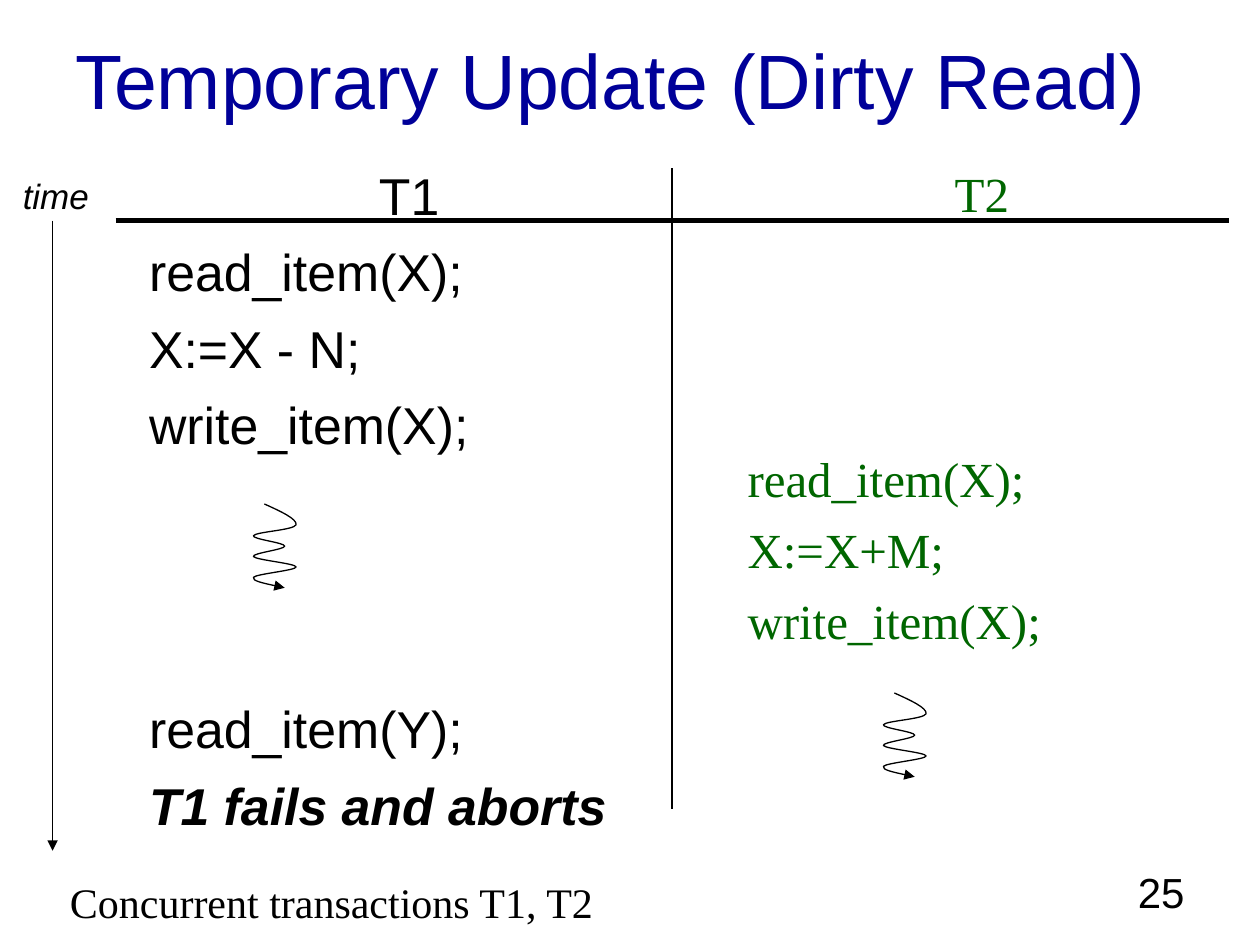
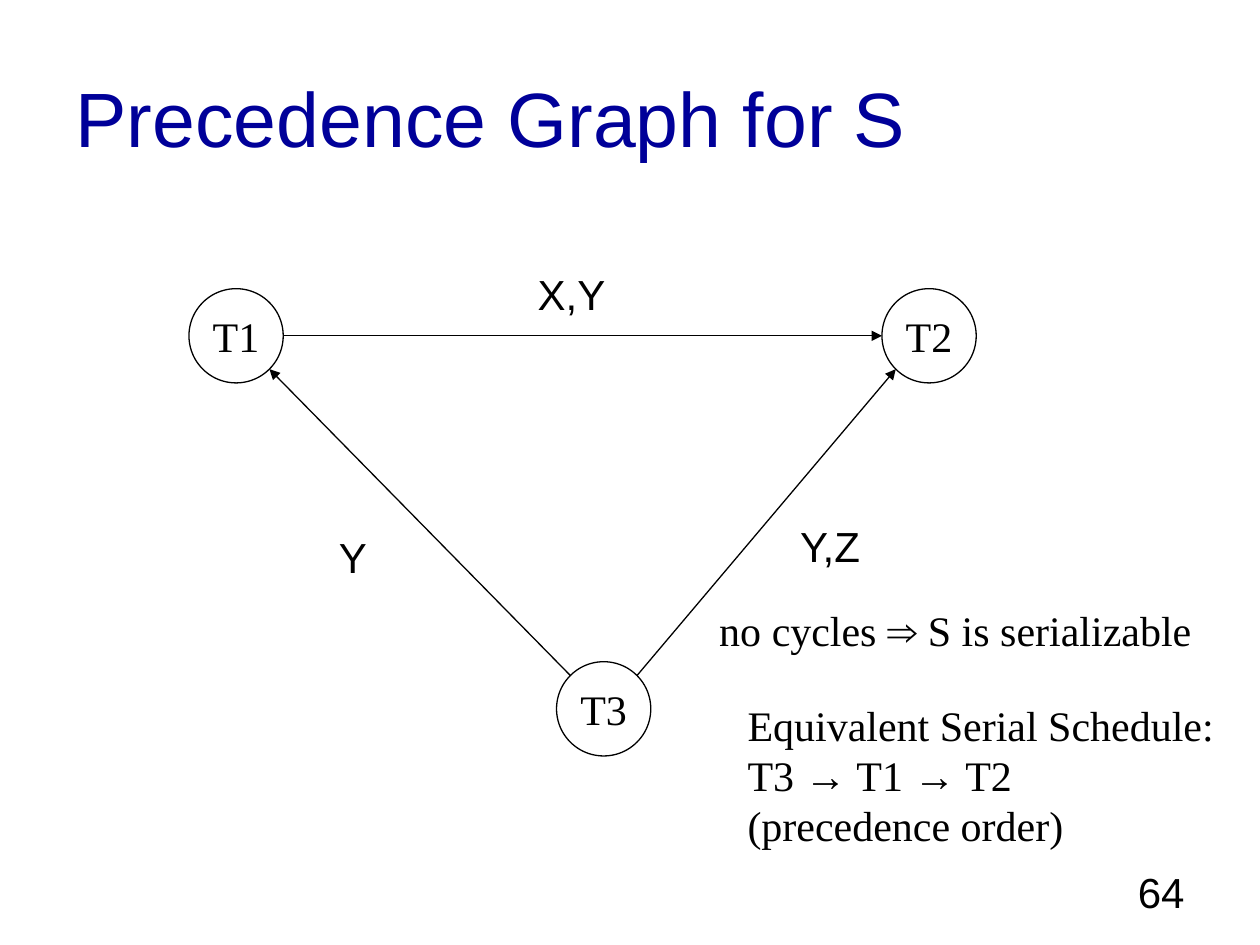
from itertools import groupby, pairwise
from math import sqrt

from lxml.etree import SubElement
from pptx import Presentation
from pptx.dml.color import RGBColor
from pptx.enum.shapes import MSO_CONNECTOR, MSO_SHAPE
from pptx.enum.text import MSO_ANCHOR, MSO_AUTO_SIZE, PP_ALIGN
from pptx.oxml.ns import qn
from pptx.util import Cm, Pt

BLACK = RGBColor(0x00, 0x00, 0x00)
WHITE = RGBColor(0xFF, 0xFF, 0xFF)
TITLE_BLUE = RGBColor(0x00, 0x00, 0x99)
T2_GREEN = RGBColor(0x00, 0x66, 0x00)

SANS = "Arial"
SERIF = "Times New Roman"
ARROW_SIGNS = "→⇒"
LINE_HEIGHT = 1.2  # line pitch as a multiple of the text size

TITLE_AND_BODY, TITLE_ONLY = 1, 5

NODE_SIZE = 1.9
DIAGONAL = 1 / sqrt(2)
RIGHT, LEFT = (1, 0), (-1, 0)
UPPER_LEFT, UPPER_RIGHT = (-DIAGONAL, -DIAGONAL), (DIAGONAL, -DIAGONAL)
LOWER_LEFT, LOWER_RIGHT = (-DIAGONAL, DIAGONAL), (DIAGONAL, DIAGONAL)

# Start point of the squiggle, then three control points per curve
SQUIGGLE_X = [0.25, 0.58, 0.91, 0.89, 0.84, 0.08, 0.03, 0, 0.66, 0.66, 0.66,
              0, 0.03, 0.08, 0.89, 0.89, 0.89, 0.08, 0.03, 0, 0.33, 0.66]
SQUIGGLE_Y = [0, 0.15, 0.3, 0.42, 0.53, 0.56] + [0.64 + 0.07 * step for step in range(16)]


def write_para(frame, text, size=24, font=SANS, color=BLACK, align=PP_ALIGN.LEFT,
               before=0, bold=False, italic=False):
    """Fill the first paragraph if it is free, else add one; arrow signs are sans."""
    para = frame.paragraphs[0]
    if para.runs:
        para = frame.add_paragraph()
    para.alignment = align
    para.line_spacing = Pt(size * LINE_HEIGHT)
    para.space_before = Pt(before)
    for is_arrow, signs in groupby(text, key=lambda sign: sign in ARROW_SIGNS):
        span = para.add_run()
        span.text = "".join(signs)
        span.font.name = SANS if is_arrow else font
        span.font.size = Pt(size)
        span.font.color.rgb = color
        span.font.bold = bold
        span.font.italic = italic
    return para


def prepare_frame(shape, anchor=MSO_ANCHOR.TOP, wrap=True):
    frame = shape.text_frame
    frame.auto_size = MSO_AUTO_SIZE.NONE
    frame.word_wrap = wrap
    frame.vertical_anchor = anchor
    return frame


def place(shape, left, top, width, height):
    shape.left, shape.top = Cm(left), Cm(top)
    shape.width, shape.height = Cm(width), Cm(height)


def add_page(deck, layout, title, title_top, number):
    page = deck.slides.add_slide(deck.slide_layouts[layout])
    place(page.shapes.title, 1.27, title_top, 22.86, 3.18)
    write_para(prepare_frame(page.shapes.title, MSO_ANCHOR.MIDDLE), title,
               size=44, color=TITLE_BLUE)
    add_text(page, 18.21, 17.35, 5.92, 1.32, [number], wrap=True, align=PP_ALIGN.RIGHT)
    return page


def add_text(page, left, top, width, height, lines, wrap=False, **style):
    box = page.shapes.add_textbox(Cm(left), Cm(top), Cm(width), Cm(height))
    frame = prepare_frame(box, wrap=wrap)
    for line in lines:
        write_para(frame, line, **style)
    return frame


def write_schedule(frame, heading, groups, size, before, **style):
    """Write a transaction's steps; groups pairs the empty rows above with the steps."""
    row_height = size * LINE_HEIGHT + before
    paras = [write_para(frame, heading, size=size, before=before,
                        align=PP_ALIGN.CENTER, **style)]
    for empty_rows, steps in groups:
        gap = before + empty_rows * row_height
        for step in steps:
            paras.append(write_para(frame, step, size=size, before=gap, **style))
            gap = before
    return paras


def remove_bullet(para):
    properties = para._p.get_or_add_pPr()
    properties.set("marL", "0")
    properties.set("indent", "0")
    SubElement(properties, qn("a:buNone"))


def style_line(shape, weight, arrow):
    shape.line.color.rgb = BLACK
    shape.line.width = Pt(weight)
    if arrow:
        SubElement(shape.line._get_or_add_ln(), qn("a:tailEnd"), type="triangle")


def add_line(page, start, end, weight=0.75, arrow=False):
    line = page.shapes.add_connector(
        MSO_CONNECTOR.STRAIGHT, *(Cm(length) for length in (*start, *end)))
    style_line(line, weight, arrow)
    SubElement(line._element.spPr, qn("a:effectLst"))


def add_squiggle(page, left, top):
    points = [(Cm(left + x), Cm(top + y)) for x, y in zip(SQUIGGLE_X, SQUIGGLE_Y)]
    builder = page.shapes.build_freeform(*points[0])
    builder.add_line_segments(points[1:], close=False)
    squiggle = builder.convert_to_shape()
    squiggle.shadow.inherit = False
    squiggle.fill.background()
    style_line(squiggle, 0.75, arrow=True)
    outline = squiggle._element.find(".//" + qn("a:path"))
    segments = outline.findall(qn("a:lnTo"))
    for first in range(0, len(segments), 3):
        curve = SubElement(outline, qn("a:cubicBezTo"))
        for segment in segments[first:first + 3]:
            curve.append(segment[0])
            outline.remove(segment)


def add_node(page, name, left, top):
    """Add a labelled circle and return its centre."""
    node = page.shapes.add_shape(MSO_SHAPE.OVAL, Cm(left), Cm(top),
                                 Cm(NODE_SIZE), Cm(NODE_SIZE))
    node.shadow.inherit = False
    node.fill.solid()
    node.fill.fore_color.rgb = WHITE
    style_line(node, 0.75, arrow=False)
    write_para(prepare_frame(node, MSO_ANCHOR.MIDDLE, wrap=False), name,
               font=SERIF, align=PP_ALIGN.CENTER)
    return left + NODE_SIZE / 2, top + NODE_SIZE / 2


def add_edge(page, start, start_side, end, end_side):
    """Draw an arrow between the rims of two nodes given by their centres."""
    rims = [[middle + NODE_SIZE / 2 * shift for middle, shift in zip(center, side)]
            for center, side in ((start, start_side), (end, end_side))]
    add_line(page, *rims, arrow=True)


def build_dirty_read(deck):
    page = add_page(deck, TITLE_AND_BODY, "Temporary Update (Dirty Read)", 0, "25")

    body = page.placeholders[1]
    place(body, 2.75, 3.18, 11, 14.4)
    t1_paras = write_schedule(
        prepare_frame(body), "T1",
        [(0, ["read_item(X);", "X:=X - N;", "write_item(X);"]),
         (3, ["read_item(Y);", "T1 fails and aborts"])],
        size=29.6, before=8)
    for para in t1_paras:
        remove_bullet(para)
    failure = t1_paras[-1].runs[0].font
    failure.bold = failure.italic = True

    t2_frame = add_text(page, 14.82, 3.18, 9.95, 14.4, [], wrap=True)
    write_schedule(t2_frame, "T2",
                   [(3, ["read_item(X);", "X:=X+M;", "write_item(X);"])],
                   size=28, before=7, font=SERIF, color=T2_GREEN)

    add_line(page, (1.06, 4.45), (1.06, 17.15), weight=1, arrow=True)
    add_text(page, 0.21, 3.39, 1.83, 1.12, ["time"], size=20, italic=True)
    for start, end in pairwise([2.33, 14.39, 24.77]):
        add_line(page, (start, 4.45), (end, 4.45), weight=3)
    add_line(page, (13.55, 3.39), (13.55, 16.3), weight=1)

    add_squiggle(page, 5.08, 10.16)
    add_squiggle(page, 17.78, 13.97)
    add_text(page, 1.16, 17.55, 11.07, 1.27, ["Concurrent transactions T1, T2"], font=SERIF)


def build_precedence_graph(deck):
    page = add_page(deck, TITLE_ONLY, "Precedence Graph for S", 0.76, "64")

    t1 = add_node(page, "T1", 3.81, 5.82)
    t2 = add_node(page, "T2", 17.78, 5.82)
    t3 = add_node(page, "T3", 11.22, 13.34)
    add_edge(page, t1, RIGHT, t2, LEFT)
    add_edge(page, t3, UPPER_LEFT, t1, LOWER_RIGHT)
    add_edge(page, t3, UPPER_RIGHT, t2, LOWER_LEFT)

    for items, left, top, width in (("X,Y", 10.59, 5.28, 1.88),
                                    ("Y", 6.58, 10.59, 1.07),
                                    ("Y,Z", 15.88, 10.36, 1.83)):
        add_text(page, left, top, width, 1.27, [items])

    add_text(page, 14.82, 13.97, 9.91, 3.3,
             ["Equivalent Serial Schedule:", "T3 → T1 → T2", "(precedence order)"],
             font=SERIF)
    add_text(page, 14.25, 12.07, 10.31, 1.27, ["no cycles ⇒ S is serializable"], font=SERIF)


def main():
    deck = Presentation()
    deck.slide_width, deck.slide_height = Cm(25.4), Cm(19.05)
    build_dirty_read(deck)
    build_precedence_graph(deck)
    deck.save("out.pptx")


if __name__ == "__main__":
    main()
